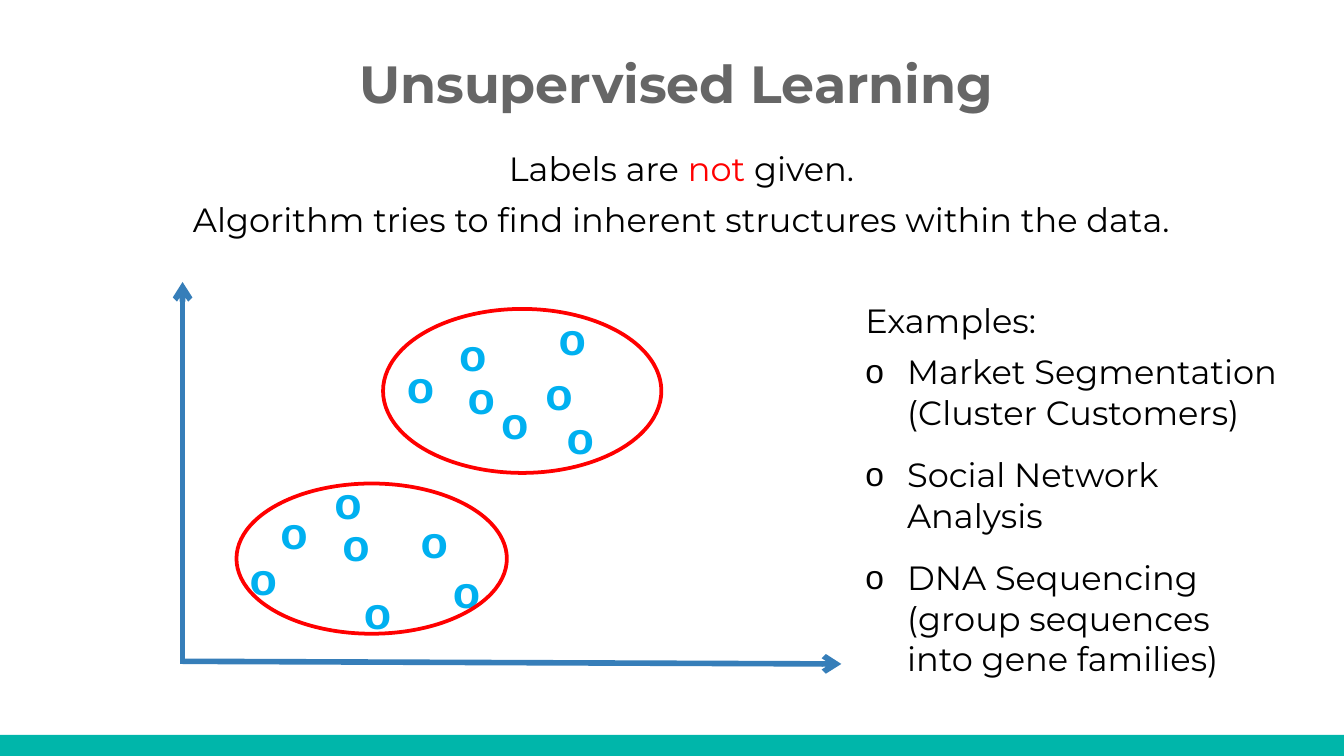
"""Build the Unsupervised Learning slide with its two clusters of points."""
from lxml.etree import SubElement
from pptx import Presentation
from pptx.dml.color import RGBColor
from pptx.enum.shapes import MSO_CONNECTOR, MSO_SHAPE
from pptx.enum.text import MSO_ANCHOR, MSO_AUTO_SIZE, PP_ALIGN
from pptx.oxml.ns import qn
from pptx.util import Cm, Pt

TITLE = "Unsupervised Learning"
STATEMENTS = [
    [("Labels are ", "000000"), ("not", "FF0000"), (" given.", "000000")],
    [("Algorithm tries to find inherent structures within the data.", "000000")],
]
EXAMPLES_HEADING = "Examples:"
EXAMPLES = [
    "Market Segmentation (Cluster Customers)",
    "Social Network Analysis",
    "DNA Sequencing (group sequences into gene families)",
]
POINTS = [
    (4.47, 10.29), (6.22, 9.65), (6.63, 10.92), (5.05, 9.42), (8.31, 10.54),
    (6.07, 8.84), (7.7, 9.58), (9.22, 7.34), (8.59, 6.86), (7.44, 6.65),
    (8.43, 6.05), (10.06, 6.78), (10.31, 5.74), (10.46, 7.62),
]
CLUSTERS = [(7.24, 5.84, 5.26, 3.1), (4.47, 9.14, 5.11, 2.84)]
AXES = [(3.45, 12.5, 15.9, 12.55), (3.45, 12.55, 3.45, 5.33)]
SLIDE_WIDTH, SLIDE_HEIGHT, BAR_HEIGHT = 25.4, 14.29, 0.4
POINT_SIZE = (1.04, 1.28)
BULLET_INDENT = 0.79


def color(value):
    return RGBColor.from_string(value)


def lengths(*values):
    return [Cm(value) for value in values]


def place(shape, *box):
    shape.left, shape.top, shape.width, shape.height = lengths(*box)


def add_text(paragraph, text, size=18, font="Montserrat", fill="000000", bold=False):
    run = paragraph.add_run()
    run.text = text
    run.font.size = Pt(size)
    run.font.name = font
    run.font.bold = bold
    run.font.color.rgb = color(fill)


def next_paragraph(frame, index, after, align=PP_ALIGN.LEFT):
    paragraph = frame.add_paragraph() if index else frame.paragraphs[0]
    paragraph.alignment = align
    paragraph.space_before = Pt(0)
    paragraph.space_after = Pt(after)
    return paragraph


def set_bullet(paragraph, character=None):
    properties = paragraph._p.get_or_add_pPr()
    indent = Cm(BULLET_INDENT) if character else 0
    properties.set("marL", str(indent))
    properties.set("indent", str(-indent))
    if character:
        SubElement(properties, qn("a:buFont"), typeface="Arial")
        SubElement(properties, qn("a:buChar"), char=character)
    else:
        SubElement(properties, qn("a:buNone"))


def add_bar(slide):
    bar = slide.shapes.add_shape(
        MSO_SHAPE.RECTANGLE,
        *lengths(0, SLIDE_HEIGHT - BAR_HEIGHT, SLIDE_WIDTH, BAR_HEIGHT))
    bar.shadow.inherit = False
    bar.fill.solid()
    bar.fill.fore_color.rgb = color("00B6AA")
    bar.line.fill.background()


def add_title(slide):
    title = slide.shapes.title
    place(title, 1.35, 0.36, 22.86, 2.39)
    frame = title.text_frame
    frame.auto_size = MSO_AUTO_SIZE.NONE
    frame.vertical_anchor = MSO_ANCHOR.MIDDLE
    paragraph = next_paragraph(frame, 0, 0, PP_ALIGN.CENTER)
    add_text(paragraph, TITLE, size=28, fill="666666", bold=True)


def add_axis(slide, ends):
    axis = slide.shapes.add_connector(MSO_CONNECTOR.STRAIGHT, *lengths(*ends))
    axis.line.color.rgb = color("367EB9")
    axis.line.width = Pt(3)
    SubElement(axis.line._get_or_add_ln(), qn("a:tailEnd"), type="arrow")
    SubElement(axis._element.spPr, qn("a:effectLst"))


def add_point(slide, position):
    point = slide.shapes.add_textbox(*lengths(*position, *POINT_SIZE))
    frame = point.text_frame
    frame.word_wrap = False
    frame.auto_size = MSO_AUTO_SIZE.SHAPE_TO_FIT_TEXT
    add_text(frame.paragraphs[0], "o", size=24, font="Arial", fill="00B0F0", bold=True)


def add_statements(slide):
    frame = slide.shapes.add_textbox(*lengths(2.9, 2.67, 19.96, 1.07)).text_frame
    frame.word_wrap = True
    for index, parts in enumerate(STATEMENTS):
        paragraph = next_paragraph(frame, index, 6, PP_ALIGN.CENTER)
        for text, fill in parts:
            add_text(paragraph, text, fill=fill)


def add_cluster(slide, box):
    cluster = slide.shapes.add_shape(MSO_SHAPE.OVAL, *lengths(*box))
    cluster.shadow.inherit = False
    cluster.fill.background()
    cluster.line.color.rgb = color("FF0000")
    cluster.line.width = Pt(2)


def add_examples(slide):
    body = slide.placeholders[1]
    place(body, 16.1, 5.54, 8.41, 7.7)
    frame = body.text_frame
    frame.word_wrap = True
    frame.auto_size = MSO_AUTO_SIZE.NONE
    for index, text in enumerate([EXAMPLES_HEADING, *EXAMPLES]):
        paragraph = next_paragraph(frame, index, 12 if index else 6)
        set_bullet(paragraph, "o" if index else None)
        add_text(paragraph, text)


def main():
    presentation = Presentation()
    presentation.slide_width, presentation.slide_height = lengths(SLIDE_WIDTH, SLIDE_HEIGHT)
    slide = presentation.slides.add_slide(presentation.slide_layouts[1])
    add_bar(slide)
    add_title(slide)
    for ends in AXES:
        add_axis(slide, ends)
    for position in POINTS:
        add_point(slide, position)
    add_statements(slide)
    for box in CLUSTERS:
        add_cluster(slide, box)
    add_examples(slide)
    presentation.save("out.pptx")


if __name__ == "__main__":
    main()
